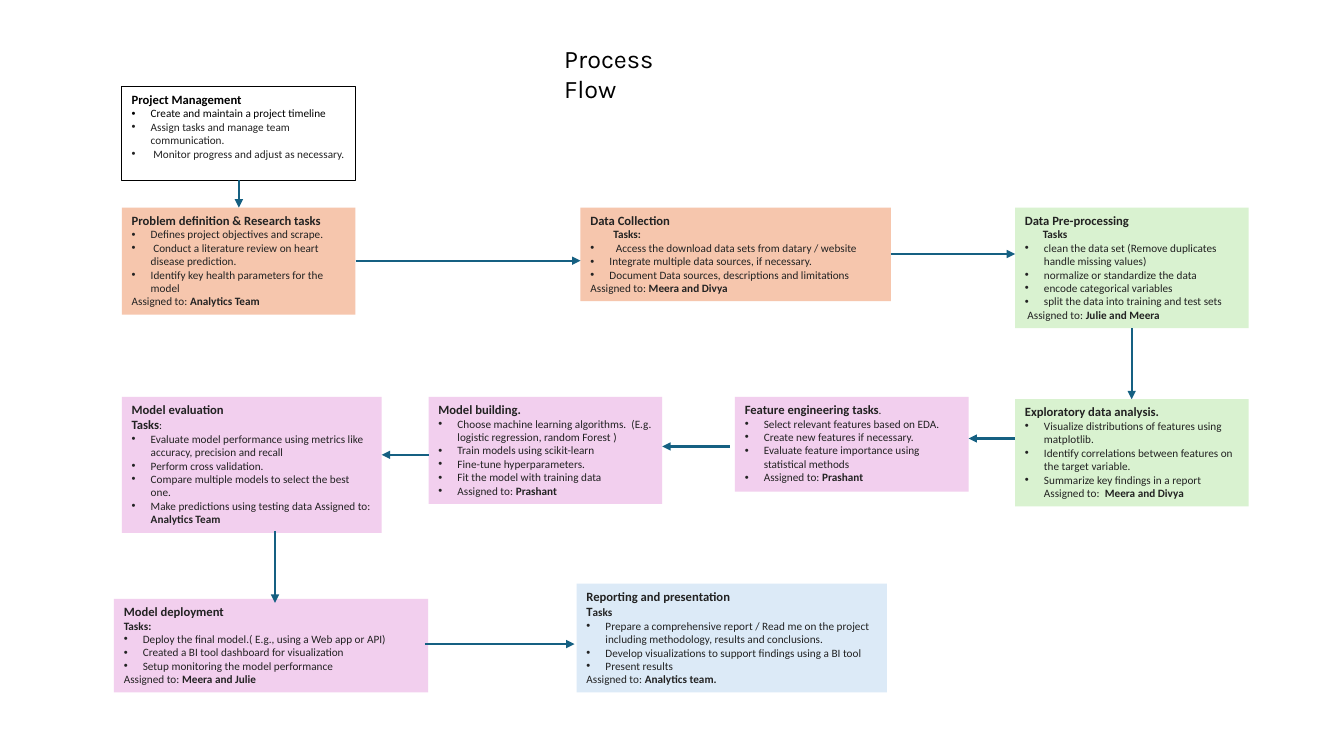
from lxml.etree import SubElement
from pptx import Presentation
from pptx.dml.color import RGBColor
from pptx.enum.shapes import MSO_CONNECTOR, MSO_SHAPE
from pptx.enum.text import MSO_ANCHOR, MSO_AUTO_SIZE, PP_ALIGN
from pptx.oxml.ns import qn
from pptx.util import Cm, Pt

# Content: "|" switches between the two span styles of a line kind
TITLE = ("Process Flow", (13.97, 0.97, 4.1, 1.02))

# name: (left, top, width, height in cm, fill, number of black lines, lines)
STEPS = {
    "management": (3.07, 2.18, 5.89, 2.36, None, 2, [
        ("head", "Project Management"),
        ("item", "Create and maintain a project timeline"),
        ("item", "Assign tasks and manage team communication."),
        ("item", " Monitor progress and adjust as necessary."),
    ]),
    "definition": (3.07, 5.23, 5.89, 2.7, "orange", 0, [
        ("head", "Problem definition & Research tasks"),
        ("item", "Defines project objectives and scrape."),
        ("item", " Conduct a literature review on heart disease prediction."),
        ("item", "Identify key health parameters for the model"),
        ("plain", "Assigned to: |Analytics Team"),
    ]),
    "collection": (14.63, 5.23, 7.82, 2.36, "orange", 0, [
        ("head", "Data Collection"),
        ("inset", "|Tasks:"),
        ("wide item", "Access the download data sets from datary / website"),
        ("item", "Integrate multiple data sources, if necessary."),
        ("item", "Document Data sources, descriptions and limitations"),
        ("plain", "Assigned to: |Meera and Divya"),
    ]),
    "processing": (25.58, 5.23, 5.89, 3.04, "green", 0, [
        ("head", "Data Pre-processing"),
        ("small inset", "|Tasks"),
        ("item", "clean the data set (Remove duplicates handle missing values)"),
        ("item", "normalize or standardize the data"),
        ("item", "encode categorical variables"),
        ("item", "split the data into training and test sets"),
        ("plain", " Assigned to: |Julie and Meera"),
    ]),
    "exploration": (25.58, 10.06, 5.89, 2.7, "green", 0, [
        ("head", "Exploratory data analysis."),
        ("item", "Visualize distributions of features using matplotlib."),
        ("item", "Identify correlations between features on the target variable."),
        ("item", "Summarize key findings in a report Assigned to:  |Meera and Divya"),
    ]),
    "features": (18.52, 10, 5.89, 2.39, "pink", 0, [
        ("head", "Feature engineering tasks|."),
        ("item", "Select relevant features based on EDA."),
        ("item", "Create new features if necessary."),
        ("item", "Evaluate feature importance using statistical methods"),
        ("item", "Assigned to: |Prashant"),
    ]),
    "building": (10.8, 10, 5.89, 2.7, "pink", 0, [
        ("head", "Model building."),
        ("item", "Choose machine learning algorithms.  (E.g. logistic regression, random Forest )"),
        ("item", "Train models using scikit-learn"),
        ("item", "Fine-tune hyperparameters."),
        ("item", "Fit the model with training data"),
        ("item", "Assigned to:| Prashant"),
    ]),
    "evaluation": (3.07, 10, 6.55, 3.43, "pink", 0, [
        ("head", "Model evaluation"),
        ("head", "Tasks|:"),
        ("item", "Evaluate model performance using metrics like accuracy, precision and recall"),
        ("item", "Perform cross validation."),
        ("item", "Compare multiple models to select the best one."),
        ("item", "Make predictions using testing data Assigned to: |Analytics Team"),
    ]),
    "deployment": (2.87, 15.09, 7.92, 2.36, "pink", 0, [
        ("head", "Model deployment"),
        ("plain", "|Tasks:"),
        ("item", "Deploy the final model.( E.g., using a Web app or API)"),
        ("item", "Created a BI tool dashboard for visualization"),
        ("item", "Setup monitoring the model performance"),
        ("plain", "Assigned to: |Meera and Julie"),
    ]),
    "reporting": (14.53, 14.71, 7.82, 2.74, "blue", 0, [
        ("head", "Reporting and presentation"),
        ("lead", "T|asks"),
        ("item", "Prepare a comprehensive report / Read me on the project "
                 "including methodology, results and conclusions."),
        ("item", "Develop visualizations to support findings using a BI tool"),
        ("item", "Present results"),
        ("plain", "Assigned to: |Analytics team."),
    ]),
}

# (from, to, direction, fixed coordinate, shift of start, shift of end) in cm
ARROWS = [
    ("management", "definition", "down", 6.02, 0, 0),
    ("definition", "collection", "right", 6.57, 0, 0),
    ("collection", "processing", "right", 6.4, 0, 0),
    ("processing", "exploration", "down", 28.52, 0, 0),
    ("exploration", "features", "left", 11.05, 0, 0),
    ("features", "building", "left", 11.25, -0.13, 0),
    ("building", "evaluation", "left", 11.46, 0, 0),
    ("evaluation", "deployment", "down", 6.93, -0.05, 0.1),
    ("deployment", "reporting", "right", 16.23, -0.08, -0.05),
]

THEME = {
    "orange": "F6C6AD", "green": "D9F2D0", "pink": "F2CFEE", "blue": "DCEAF7",
    "black": "000000", "text": "222222", "arrow": "156082",
    "title font": "Karla", "font": "Calibri", "title size": 18,
    "big": (9, True), "bold": (8, True), "body": (8, False),
}
# line kind: (left margin in cm, has bullet, two alternating span styles)
KINDS = {
    "head": (0, False, ("big", "body")),
    "lead": (0, False, ("big", "bold")),
    "plain": (0, False, ("body", "bold")),
    "inset": (0.58, False, ("body", "bold")),
    "small inset": (0.45, False, ("body", "bold")),
    "item": (0.48, True, ("body", "bold")),
    "wide item": (0.64, True, ("body", "bold")),
}


def color(name):
    return RGBColor.from_string(THEME[name])


def style_span(span, font, size, bold, ink):
    span.font.name, span.font.size, span.font.bold = font, Pt(size), bold
    span.font.color.rgb = color(ink)


def write_line(para, kind, text, ink):
    margin, bullet, styles = KINDS[kind]
    para.alignment = PP_ALIGN.LEFT
    for index, part in enumerate(text.split("|")):
        if part:
            span = para.add_run()
            span.text = part
            style_span(span, THEME["font"], *THEME[styles[index % 2]], ink)
    properties = para._p.get_or_add_pPr()
    properties.set("marL", str(Cm(margin)))
    if bullet:
        properties.set("indent", str(-Cm(margin)))
        SubElement(properties, qn("a:buFont")).set("typeface", "Arial")
        SubElement(properties, qn("a:buChar")).set("char", "•")


def add_step(page, left, top, width, height, fill, black_lines, lines):
    box = page.shapes.add_shape(MSO_SHAPE.RECTANGLE, *map(Cm, (left, top, width, height)))
    box.shadow.inherit = False
    if fill:
        box.fill.solid()
        box.fill.fore_color.rgb = color(fill)
        box.line.fill.background()
    else:
        box.fill.background()
        box.line.color.rgb = color("black")
        box.line.width = Pt(0.75)
    frame = box.text_frame
    frame.word_wrap = True
    frame.auto_size = MSO_AUTO_SIZE.SHAPE_TO_FIT_TEXT
    frame.vertical_anchor = MSO_ANCHOR.TOP
    for index, (kind, text) in enumerate(lines):
        para = frame.add_paragraph() if index else frame.paragraphs[0]
        write_line(para, kind, text, "black" if index < black_lines else "text")


def add_arrow(page, source, target, direction, fixed, start_shift, end_shift):
    left, top, width, height = STEPS[source][:4]
    to_left, to_top, to_width = STEPS[target][:3]
    start, end = {
        "down": (top + height, to_top),
        "right": (left + width, to_left),
        "left": (left, to_left + to_width),
    }[direction]
    start, end = start + start_shift, end + end_shift
    points = (fixed, start, fixed, end) if direction == "down" else (start, fixed, end, fixed)
    arrow = page.shapes.add_connector(MSO_CONNECTOR.STRAIGHT, *map(Cm, points))
    arrow.line.color.rgb = color("arrow")
    arrow.line.width = Pt(1.5)
    SubElement(arrow.line._get_or_add_ln(), qn("a:tailEnd")).set("type", "triangle")
    SubElement(arrow._element.spPr, qn("a:effectLst"))


def main():
    deck = Presentation()
    deck.slide_width, deck.slide_height = Cm(33.87), Cm(19.05)
    page = deck.slides.add_slide(deck.slide_layouts[6])

    # Title
    text, place = TITLE
    box = page.shapes.add_textbox(*map(Cm, place))
    box.text_frame.word_wrap = True
    box.text_frame.text = text
    style_span(box.text_frame.paragraphs[0].runs[0], THEME["title font"],
               THEME["title size"], False, "black")

    # Steps and the arrows between them
    for step in STEPS.values():
        add_step(page, *step)
    for arrow in ARROWS:
        add_arrow(page, *arrow)

    deck.save("out.pptx")


if __name__ == "__main__":
    main()
